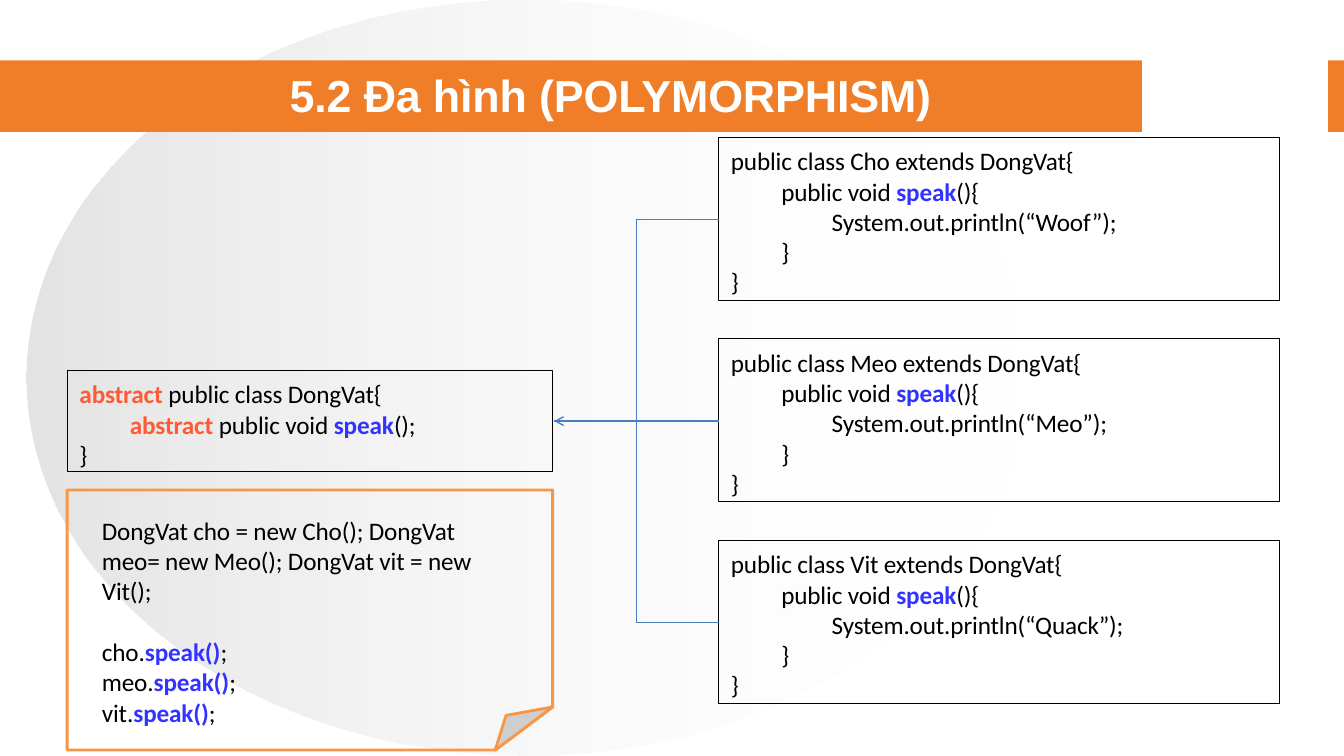
from pptx import Presentation
from pptx.util import Pt
from pptx.dml.color import RGBColor
from pptx.enum.shapes import MSO_CONNECTOR, MSO_SHAPE
from pptx.enum.text import MSO_ANCHOR, PP_ALIGN
from pptx.oxml import parse_xml
from pptx.oxml.ns import nsdecls
from lxml.etree import SubElement

COLORS = {
    "white": "FFFFFF", "black": "000000", "band": "F07D27", "gray": "C0C0C0",
    "fold": "CECECE", "note": "F79646", "arrow": "4A7EBB",
    "method": "3333FF", "abstract": "FF5A33",
}


def rgb(name):
    return RGBColor.from_string(COLORS[name])


def add_run(p, text, size=18, font="Calibri", color="black", bold=False, spacing=-0.1):
    r = p.add_run()
    r.text = text
    r.font.size, r.font.name, r.font.bold = Pt(size), font, bold
    r.font.color.rgb = rgb(color)
    r._r.get_or_add_rPr().set("spc", str(round(spacing * 100)))


class SlideBuilder:
    def __init__(self, prs):
        self.s = prs.slides.add_slide(prs.slide_layouts[5])
        self.shapes = self.s.shapes

    def paint(self, sp, fill=None, line=None, width=0.75):
        sp.shadow.inherit = False
        if fill:
            sp.fill.solid()
            sp.fill.fore_color.rgb = rgb(fill)
        else:
            sp.fill.background()
        if line:
            sp.line.color.rgb = rgb(line)
            sp.line.width = Pt(width)
        else:
            sp.line.fill.background()

    def shape(self, x, y, w, h, kind=MSO_SHAPE.RECTANGLE, **style):
        sp = self.shapes.add_shape(kind, Pt(x), Pt(y), Pt(w), Pt(h))
        self.paint(sp, **style)
        return sp

    def fading_ellipse(self, x, y, w, h):
        sp = self.shape(x, y, w, h, MSO_SHAPE.OVAL)
        stops = "".join(
            f'<a:gs pos="{pos}"><a:srgbClr val="{COLORS[name]}">'
            f'<a:alpha val="{alpha}"/></a:srgbClr></a:gs>'
            for pos, name, alpha in ((0, "gray", 44000), (100000, "white", 0)))
        grad = parse_xml(f'<a:gradFill {nsdecls("a")} rotWithShape="1"><a:gsLst>{stops}'
                         '</a:gsLst><a:lin ang="0" scaled="0"/></a:gradFill>')
        no_fill = sp._element.spPr.find("{*}noFill")
        no_fill.getparent().replace(no_fill, grad)

    def outline(self, points, **style):
        start, *rest = [(Pt(x), Pt(y)) for x, y in points]
        fb = self.shapes.build_freeform(*start, scale=1.0)
        fb.add_line_segments(rest, close=True)
        self.paint(fb.convert_to_shape(), **style)

    def code(self, x, y, w, h, lines):
        tf = self.shapes.add_textbox(Pt(x), Pt(y), Pt(w), Pt(h)).text_frame
        tf.word_wrap = True
        tf.margin_left = tf.margin_right = tf.margin_top = tf.margin_bottom = 0
        for i, (level, text) in enumerate(lines):
            p = tf.add_paragraph() if i else tf.paragraphs[0]
            p.line_spacing = Pt(21.6)
            p._p.get_or_add_pPr().set("marL", str(Pt(0.8 + 36 * level)))
            for k, part in enumerate(text.split("|")):
                marked = k % 2 == 1
                color = "abstract" if part == "abstract" else "method"
                if part:
                    add_run(p, part, color=color if marked else "black", bold=marked)

    def code_box(self, x, y, w, h, lines):
        self.shape(x, y, w, h, line="black")
        self.code(x + 8, y + 6, w - 16, h - 8, lines)

    def connector(self, kind, start, end, head=False):
        c = self.shapes.add_connector(kind, *(Pt(v) for v in start + end))
        c.line.color.rgb = rgb("arrow")
        c.line.width = Pt(1)
        if head:
            ln = c.line._get_or_add_ln()
            SubElement(ln, ln.tag[:-2] + "tailEnd", type="arrow", w="med", len="med")
        c._element.spPr.append(parse_xml(f'<a:effectLst {nsdecls("a")}/>'))

    def title(self, x, y, w, h, text):
        sp = self.shapes.title
        sp.left, sp.top, sp.width, sp.height = Pt(x), Pt(y), Pt(w), Pt(h)
        tf = sp.text_frame
        tf.margin_top = tf.margin_bottom = 0
        tf.vertical_anchor = MSO_ANCHOR.MIDDLE
        p = tf.paragraphs[0]
        p.alignment = PP_ALIGN.CENTER
        add_run(p, text, size=32, font="Arial", color="white", bold=True, spacing=-0.15)
        self.shapes._spTree.append(sp._element)


prs = Presentation()
prs.slide_width, prs.slide_height = Pt(960), Pt(540)
b = SlideBuilder(prs)

b.fading_ellipse(18.7, 0, 714.3, 540)
b.shape(0, 43.2, 960, 51, fill="band")
b.shape(816, 43.2, 132, 51, fill="white", line="white")

left, right, top, bottom = 48, 394.8, 350, 535.8
fold_x, fold_y = 353.7, 505
b.outline([(left, top), (right, top), (right, fold_y), (fold_x, bottom), (left, bottom)],
          line="note", width=2)
b.outline([(fold_x, bottom), (361.5, 511), (right, fold_y)], fill="fold", line="note", width=2)
b.code(72, 368, 266, 66, [
    (0, "DongVat cho = new Cho(); DongVat meo= new Meo(); DongVat vit = new Vit();")])
b.code(72, 454.6, 132, 66, [(0, f"{name}.|speak()|;") for name in ("cho", "meo", "vit")])

b.code_box(left, 264.5, right - left, 72.4, [
    (0, "|abstract| public class DongVat{"),
    (1, "|abstract| public void |speak|();"),
    (0, "}")])

box_x, box_w, box_h, pitch = 513.3, 401, 116.4, 144
hub = (396, 300.8)
for i, (name, sound) in enumerate((("Cho", "Woof"), ("Meo", "Meo"), ("Vit", "Quack"))):
    y = 98 + i * pitch
    b.code_box(box_x, y, box_w, box_h, [
        (0, f"public class {name} extends DongVat{{"),
        (1, "public void |speak|(){"),
        (2, f"System.out.println(“{sound}”);"),
        (1, "}"),
        (0, "}")])
    middle = i == 1
    kind = MSO_CONNECTOR.STRAIGHT if middle else MSO_CONNECTOR.ELBOW
    b.connector(kind, (box_x, hub[1] + (i - 1) * pitch), hub, head=middle)

b.title(120, 48, 632, 38.5, "5.2 Đa hình (POLYMORPHISM)")
prs.save("out.pptx")
